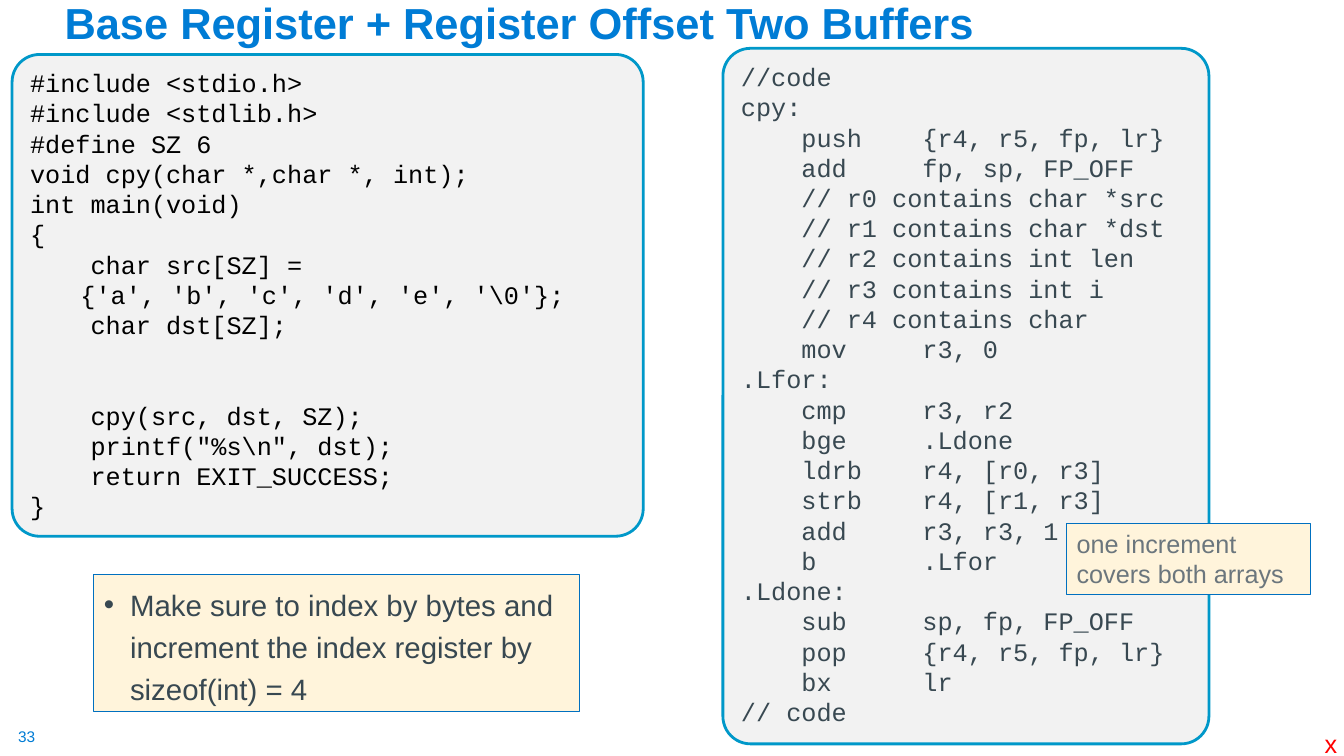
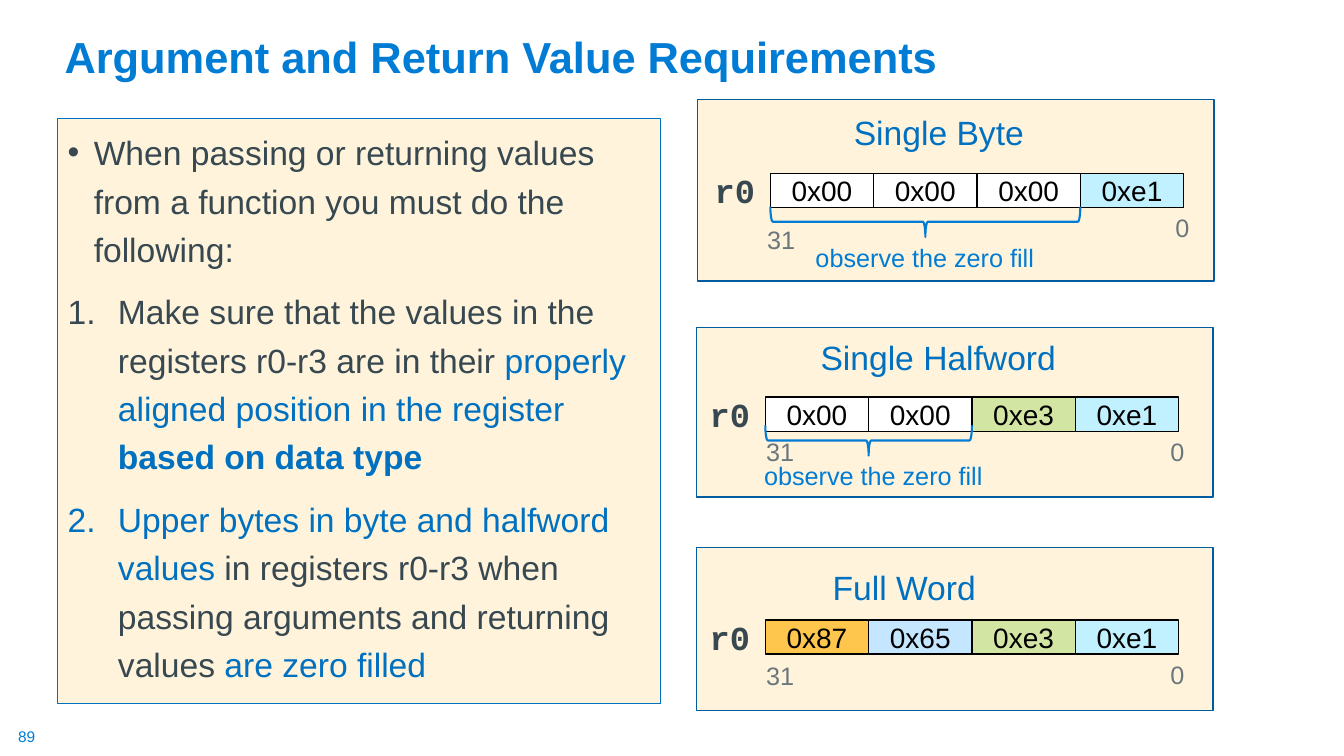
from dataclasses import dataclass
from typing import Optional

from lxml.etree import SubElement
from pptx import Presentation
from pptx.dml.color import RGBColor
from pptx.enum.shapes import MSO_SHAPE as Preset
from pptx.enum.text import MSO_ANCHOR as Anchor, MSO_AUTO_SIZE as AutoSize, PP_ALIGN as Align
from pptx.oxml.ns import qn
from pptx.util import Inches, Pt

COLORS = {
    "title": "007CD5", "accent": "0070C0", "body": "384851", "muted": "6B767D",
    "cream": "FFF4DB", "panel_line": "005C9E", "code_fill": "F2F2F2", "code_line": "0098C9",
    "black": "000000", "white": "FFFFFF", "red": "FF0000",
    "cyan": "C1F0FF", "green": "92D050", "amber": "FEC64D", "sky": "C4E6FF",
}
BYTE_FILLS = {"0x00": "white", "0xe1": "cyan", "0xe3": "green", "0x87": "amber", "0x65": "sky"}
GREEN_OPACITY = 40
SANS, MONO = "Arial", "Courier New"
CODE_SIZE = 18
CODE_LINE_HEIGHT = 1.2 * CODE_SIZE
WORD_WIDTH, CELL_HEIGHT = 4.1, 0.34
CELL_WIDTH = WORD_WIDTH / 4

C_CODE = """#include <stdio.h>
#include <stdlib.h>
#define SZ 6
void cpy(char *,char *, int);
int main(void)
{
    char src[SZ] =
\t{'a', 'b', 'c', 'd', 'e', '\\0'};
    char dst[SZ];


    cpy(src, dst, SZ);
    printf("%s\\n", dst);
    return EXIT_SUCCESS;
}"""

ASSEMBLY_CODE = """//code
cpy:
    push    {r4, r5, fp, lr}
    add     fp, sp, FP_OFF
    // r0 contains char *src
    // r1 contains char *dst
    // r2 contains int len
    // r3 contains int i
    // r4 contains char
    mov     r3, 0
.Lfor:
    cmp     r3, r2
    bge     .Ldone
    ldrb    r4, [r0, r3]
    strb    r4, [r1, r3]
    add     r3, r3, 1
    b       .Lfor
.Ldone:
    sub     sp, fp, FP_OFF
    pop     {r4, r5, fp, lr}
    bx      lr
// code"""


@dataclass(frozen=True)
class Box:
    left: float
    top: float
    width: float
    height: float

    def lengths(self) -> tuple:
        return tuple(Inches(n) for n in (self.left, self.top, self.width, self.height))


@dataclass(frozen=True)
class Span:
    text: str
    color: str = "body"
    bold: bool = False


@dataclass(frozen=True)
class Item:
    spans: tuple
    numbered: bool = False


@dataclass(frozen=True)
class ZeroFill:
    cells: int
    drop: float
    note_left: float


@dataclass(frozen=True)
class Register:
    title: str
    title_box: Box
    panel: Box
    left: float
    top: float
    cells: tuple
    high_bit: tuple
    zero_fill: Optional[ZeroFill] = None


REGISTERS = (
    Register("Full Word", Box(8.16, 5.58, 1.64, 0.5), Box(6.91, 5.43, 5.12, 1.62),
             7.59, 6.15, ("0x87", "0x65", "0xe3", "0xe1"), (-0.09, 0.35)),
    Register("Single Halfword", Box(8.04, 3.29, 2.56, 0.5), Box(6.91, 3.25, 5.12, 1.68),
             7.59, 3.94, ("0x00", "0x00", "0xe3", "0xe1"), (-0.09, 0.34),
             ZeroFill(2, 0.28, 7.48)),
    Register("Single Byte", Box(8.37, 1.06, 1.91, 0.5), Box(6.92, 0.99, 5.12, 1.8),
             7.64, 1.72, ("0x00", "0x00", "0x00", "0xe1"), (-0.13, 0.46),
             ZeroFill(3, 0.33, 7.99)),
)

INDEX_ITEMS = (
    Item((Span("Make sure to index by bytes and increment the index register by "
               "sizeof(int) = 4"),)),
)
REQUIREMENT_ITEMS = (
    Item((Span("When passing or returning values from a function you must do the following:"),)),
    Item((Span("Make sure that the values in the registers r0-r3 are in their "),
          Span("properly aligned position in the register ", "accent"),
          Span("based on data type", "accent", True)), numbered=True),
    Item((Span("Upper bytes in byte and halfword values", "accent"),
          Span(" in registers r0-r3 when passing arguments and returning values "),
          Span("are zero filled", "accent")), numbered=True),
)


def rgb(name: str) -> RGBColor:
    return RGBColor.from_string(COLORS[name])


def style_font(font, size: float, color: str, name: str = SANS, bold: bool = False) -> None:
    font.name, font.size, font.bold = name, Pt(size), bold
    font.color.rgb = rgb(color)


def paint(shape, fill: str, line: str, weight: float) -> None:
    shape.fill.solid()
    shape.fill.fore_color.rgb = rgb(fill)
    shape.line.color.rgb = rgb(line)
    shape.line.width = Pt(weight)


def place(shape, box: Box) -> None:
    shape.left, shape.top, shape.width, shape.height = box.lengths()


def add_panel(shapes, box: Box, fill: str, line: str, weight: float, preset=Preset.RECTANGLE):
    panel = shapes.add_shape(preset, *box.lengths())
    panel.shadow.inherit = False
    paint(panel, fill, line, weight)
    panel.text_frame.vertical_anchor = Anchor.TOP
    panel.text_frame.word_wrap = True
    return panel


def write(shape, text: str, size: float, color: str, align=Align.LEFT,
          name: str = SANS, bold: bool = False) -> None:
    para = shape.text_frame.paragraphs[0]
    para.text = text
    para.alignment = align
    style_font(para.font, size, color, name, bold)


def add_label(shapes, box: Box, text: str, size: float, color: str,
              name: str = SANS, bold: bool = False):
    label = shapes.add_textbox(*box.lengths())
    label.text_frame.word_wrap = False
    write(label, text, size, color, name=name, bold=bold)
    return label


def add_page(deck, title: str, title_box: Box, number: str):
    """Add a slide with the shared title style and page number."""
    page = deck.slides.add_slide(deck.slide_layouts[1])
    heading = page.shapes.title
    place(heading, title_box)
    write(heading, title, 31, "title", bold=True)
    frame = heading.text_frame
    frame.vertical_anchor, frame.auto_size = Anchor.BOTTOM, AutoSize.NONE
    frame.paragraphs[0].line_spacing = 0.9
    label = add_label(page.shapes, Box(0.18, 7.21, 0.19, 0.19), number, 11, "title")
    frame = label.text_frame
    frame.margin_left = frame.margin_right = frame.margin_top = frame.margin_bottom = 0
    return page


def add_marker(para, numbered: bool) -> None:
    """Give a paragraph a hanging number or bullet."""
    properties = para._p.get_or_add_pPr()
    indent = Inches(0.5 if numbered else 0.26)
    properties.set("marL", str(indent))
    properties.set("indent", str(-indent))
    if numbered:
        SubElement(properties, qn("a:buAutoNum"), type="arabicPeriod")
    else:
        SubElement(properties, qn("a:buChar"), char="•")


def fill_body(page, box: Box, items: tuple, size: float) -> None:
    body = page.placeholders[1]
    place(body, box)
    paint(body, "cream", "accent", 0.75)
    frame = body.text_frame
    frame.auto_size, frame.vertical_anchor = AutoSize.NONE, Anchor.TOP
    for index, item in enumerate(items):
        para = frame.add_paragraph() if index else frame.paragraphs[0]
        add_marker(para, item.numbered)
        para.line_spacing = 1.2
        para.space_before = Pt(10 if index else 0)
        para.font.name, para.font.size = SANS, Pt(size)
        for span in item.spans:
            run = para.add_run()
            run.text = span.text
            run.font.color.rgb = rgb(span.color)
            run.font.bold = span.bold


def add_code(page, box: Box, code: str, color: str) -> None:
    """Draw a rounded listing; empty code lines become space before the next line."""
    panel = add_panel(page.shapes, box, "code_fill", "code_line", 2, Preset.ROUNDED_RECTANGLE)
    panel.adjustments[0] = 0.057 * min(1, 4.8 / min(box.width, box.height))
    frame = panel.text_frame
    gap = 0
    for index, line in enumerate(code.split("\n")):
        if not line:
            gap += 1
            continue
        para = frame.add_paragraph() if index else frame.paragraphs[0]
        para.text = line
        para.alignment = Align.LEFT
        para.space_before = Pt(gap * CODE_LINE_HEIGHT)
        style_font(para.font, CODE_SIZE, color, MONO)
        gap = 0


def add_cell(shapes, box: Box, value: str) -> None:
    fill = BYTE_FILLS[value]
    cell = add_panel(shapes, box, fill, "black", 1)
    if fill == "green":
        color = cell._element.spPr.find(qn("a:solidFill"))[0]
        SubElement(color, qn("a:alpha"), val=str(GREEN_OPACITY * 1000))
    cell.text_frame.vertical_anchor = Anchor.MIDDLE
    write(cell, value, 20, "black", Align.CENTER)


def add_zero_fill(shapes, register: Register, zero_fill: ZeroFill) -> None:
    """Draw a brace under the zero bytes, with its note below."""
    span, depth = zero_fill.cells * CELL_WIDTH, 0.3
    top = register.top + zero_fill.drop
    upright = Box(register.left + (span - depth) / 2, top + (depth - span) / 2, depth, span)
    brace = shapes.add_shape(Preset.RIGHT_BRACE, *upright.lengths())
    brace.rotation = 90
    brace.shadow.inherit = False
    brace.fill.background()
    brace.line.color.rgb = rgb("title")
    brace.line.width = Pt(1.5)
    add_label(shapes, Box(zero_fill.note_left, top + depth, 2.47, 0.4),
              "observe the zero fill", 18, "title")


def add_register(page, register: Register) -> None:
    add_panel(page.shapes, register.panel, "cream", "panel_line", 1)
    shapes = page.shapes.add_group_shape().shapes
    left, top = register.left, register.top
    for index, value in enumerate(register.cells):
        add_cell(shapes, Box(left + index * CELL_WIDTH, top, CELL_WIDTH, CELL_HEIGHT), value)
    shift, drop = register.high_bit
    add_label(shapes, Box(left + 3.92, top + CELL_HEIGHT, 0.34, 0.4), "0", 18, "muted")
    add_label(shapes, Box(left + shift, top + drop, 0.48, 0.4), "31", 18, "muted")
    add_label(shapes, Box(left - 0.65, top - 0.08, 0.61, 0.5), "r0", 24, "body", MONO, True)
    add_label(shapes, register.title_box, register.title, 24, "accent")
    if register.zero_fill:
        add_zero_fill(shapes, register, register.zero_fill)


def build_buffers(deck) -> None:
    page = add_page(deck, "Base Register + Register Offset Two Buffers",
                    Box(0.54, 0.09, 11.5, 0.45), "33")
    fill_body(page, Box(0.93, 5.7, 4.82, 1.36), INDEX_ITEMS, 21)
    add_code(page, Box(0.12, 0.54, 6.26, 4.78), C_CODE, "black")
    add_label(page.shapes, Box(13.04, 7.18, 0.33, 0.4), "x", 18, "red")
    add_code(page, Box(7.17, 0.48, 4.82, 6.9), ASSEMBLY_CODE, "body")
    note = add_panel(page.shapes, Box(10.58, 5.19, 2.42, 0.71), "cream", "accent", 0.75)
    write(note, "one increment covers both arrays", 18, "muted")


def build_requirements(deck) -> None:
    page = add_page(deck, "Argument and Return Value Requirements",
                    Box(0.54, 0.09, 11.5, 0.78), "89")
    fill_body(page, Box(0.57, 1.18, 5.98, 5.8), REQUIREMENT_ITEMS, 24)
    for register in REGISTERS:
        add_register(page, register)


def main() -> None:
    deck = Presentation()
    deck.slide_width, deck.slide_height = Inches(13.33), Inches(7.5)
    build_buffers(deck)
    build_requirements(deck)
    deck.save("out.pptx")


if __name__ == "__main__":
    main()
